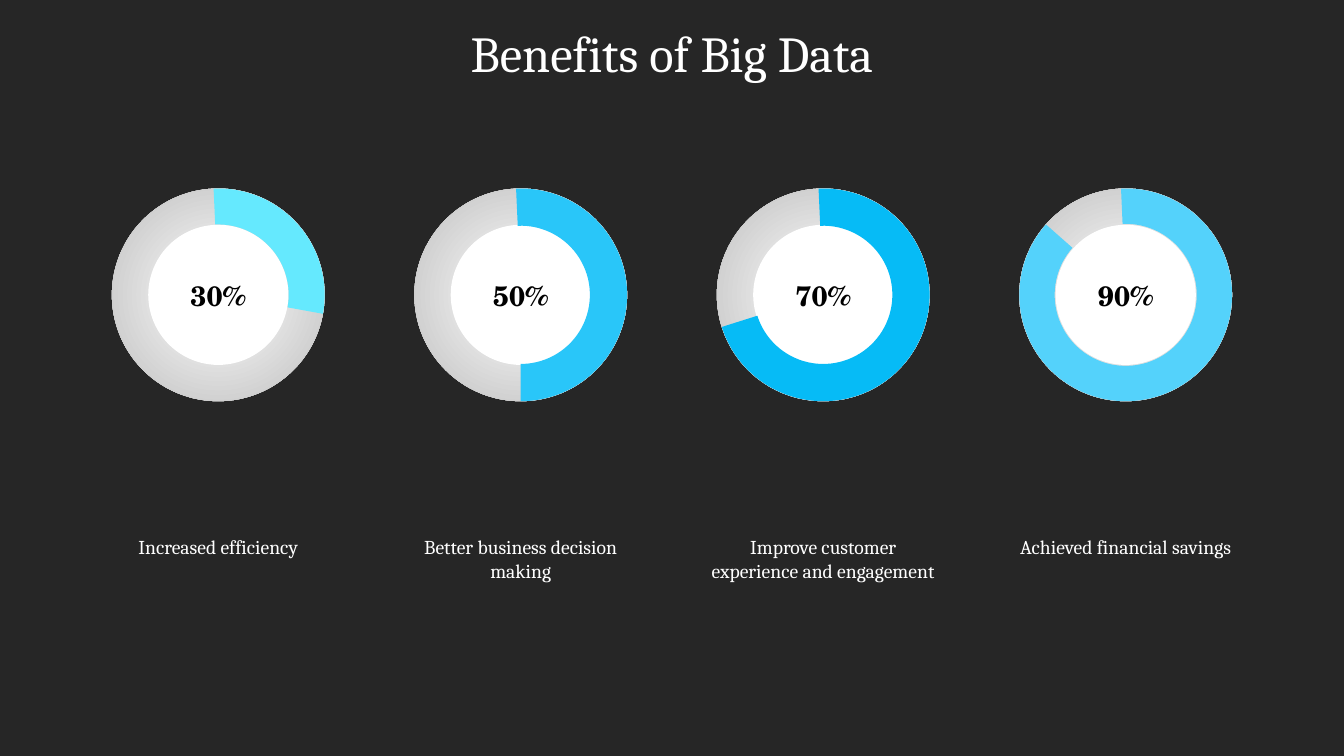
from lxml.etree import SubElement
from pptx import Presentation
from pptx.dml.color import RGBColor
from pptx.enum.shapes import MSO_SHAPE
from pptx.enum.text import PP_ALIGN
from pptx.oxml.ns import qn
from pptx.util import Inches, Pt

COLORS = {
    "background": "262626",
    "white": "FFFFFF",
    "black": "000000",
    "ring": "BFBFBF",
    "aqua": "65E9FE",
    "sky": "29C6F9",
    "azure": "06BBF6",
    "light": "54D2FB",
}
BENEFITS = [
    ("30%", "Increased efficiency", "aqua", 132.46, 0.169, 0.34),
    ("50%", "Better business decision making", "sky", 212.28, 0.175, 0.57),
    ("70%", "Improve customer experience and engagement", "azure", 284.62, 0.175, 0.81),
    ("90%", "Achieved financial savings", "light", 343.65, 0.166, 0.57),
]
W, H = 13.33, 7.5
PITCH = 3.0
RING, HOLE = 2.11, 1.39
RING_Y = 2.925
ARC_START, ARC_TURN = 29.69, 237.8
ADJ_PER_DEGREE = 0.6

prs = Presentation()
prs.slide_width, prs.slide_height = Inches(W), Inches(H)
s = prs.slides.add_slide(prs.slide_layouts[6])
s.background.fill.solid()
s.background.fill.fore_color.rgb = RGBColor.from_string(COLORS["background"])


def add_text(text, cx, top, width, height, size, font, color, bold=False):
    tb = s.shapes.add_textbox(Inches(cx - width / 2), Inches(top), Inches(width), Inches(height))
    tf = tb.text_frame
    tf.word_wrap = True
    p = tf.paragraphs[0]
    p.alignment = PP_ALIGN.CENTER
    r = p.add_run()
    r.text = text
    r.font.size = Pt(size)
    r.font.name = font
    r.font.bold = bold
    r.font.color.rgb = RGBColor.from_string(COLORS[color])


def add_round(kind, cx, size, color=None):
    sp = s.shapes.add_shape(kind, Inches(cx - size / 2), Inches(RING_Y - size / 2),
                            Inches(size), Inches(size))
    sp.shadow.inherit = False
    sp.line.fill.background()
    if color:
        sp.fill.solid()
        sp.fill.fore_color.rgb = RGBColor.from_string(COLORS[color])
    return sp


add_text("Benefits of Big Data", W / 2, 0.17, W, 0.71, 36, "Cambria", "white")

for i, (percent, label, color, arc_end, thickness, label_h) in enumerate(BENEFITS):
    cx = W / 2 + (i - (len(BENEFITS) - 1) / 2) * PITCH

    ring = add_round(MSO_SHAPE.DONUT, cx, RING)
    ring.rotation = 270
    ring.adjustments[0] = 0.177
    ring.fill.gradient()
    for stop, (position, name) in zip(ring.fill.gradient_stops, [(0, "white"), (0.97, "ring")]):
        stop.position = position
        stop.color.rgb = RGBColor.from_string(COLORS[name])
    grad = ring._element.spPr.find(qn("a:gradFill"))
    grad.remove(grad.find(qn("a:lin")))
    radial = SubElement(grad, qn("a:path"), {"path": "circle"})
    SubElement(radial, qn("a:fillToRect"), {side: "50000" for side in "ltrb"})

    add_round(MSO_SHAPE.OVAL, cx, HOLE, "white")

    arc = add_round(MSO_SHAPE.BLOCK_ARC, cx, RING, color)
    arc.rotation = ARC_TURN
    arc.adjustments[0] = ARC_START * ADJ_PER_DEGREE
    arc.adjustments[1] = arc_end * ADJ_PER_DEGREE
    arc.adjustments[2] = thickness

    add_text(label, cx, 5.26, 2.41, label_h, 14, "Cambria", "white")
    add_text(percent, cx, 2.71, 0.85, 0.44, 20, "TeX Gyre Schola", "black", True)

prs.save("out.pptx")
